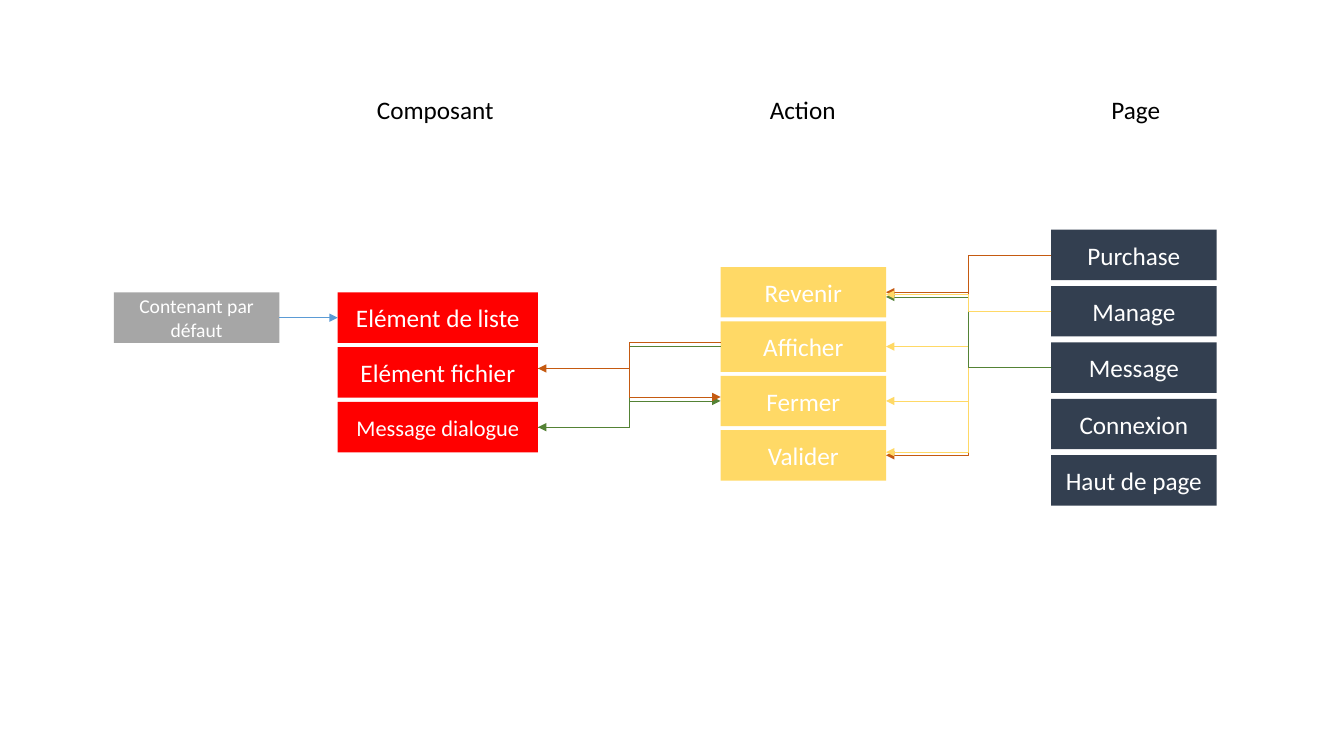
from pptx import Presentation
from pptx.dml.color import RGBColor
from pptx.enum.shapes import MSO_CONNECTOR, MSO_SHAPE
from pptx.enum.text import MSO_ANCHOR, MSO_AUTO_SIZE, PP_ALIGN
from pptx.oxml.ns import qn
from pptx.util import Cm, Pt
from lxml.etree import SubElement

FONT = "Calibri"
BLOCK_HEIGHT = 1.27
ORANGE, YELLOW, GREEN, BLUE = "C55A11", "FFD966", "548235", "5B9BD5"

# Heading, left, width (cm)
HEADINGS = [("Composant", 9.25, 3.48), ("Action", 19.15, 2.18), ("Page", 27.76, 1.75)]

# Left, top, width, step (cm), fill, then (label, text size)
COLUMNS = [
    (2.87, 7.37, 4.17, 0, "A6A6A6", [("Contenant par défaut", 14)]),
    (8.51, 7.37, 5.05, 1.38, "FF0000",
     [("Elément de liste", 18), ("Elément fichier", 18), ("Message dialogue", 16)]),
    (18.16, 6.73, 4.17, 1.37, "FFD966",
     [("Revenir", 18), ("Afficher", 18), ("Fermer", 18), ("Valider", 18)]),
    (26.49, 5.79, 4.17, 1.42, "333F50",
     [("Purchase", 18), ("Manage", 18), ("Message", 18), ("Connexion", 18),
      ("Haut de page", 18)]),
]

# Source, target, colour, shift of each end below the block's middle (cm)
ELBOWS = [
    ("Purchase", "Revenir", ORANGE, 0, 0),
    ("Purchase", "Valider", ORANGE, 0, 0),
    ("Manage", "Fermer", YELLOW, 0, 0),
    ("Manage", "Afficher", YELLOW, 0, 0),
    ("Manage", "Valider", YELLOW, 0, -0.08),
    ("Message", "Revenir", GREEN, 0, 0.12),
    ("Manage", "Revenir", YELLOW, 0, 0.06),
    ("Afficher", "Message dialogue", GREEN, 0, 0),
    ("Message dialogue", "Fermer", GREEN, 0, 0),
    ("Afficher", "Elément fichier", ORANGE, -0.1, -0.1),
    ("Elément fichier", "Fermer", ORANGE, -0.1, -0.1),
]


def color(value):
    return RGBColor.from_string(value)


def write(shape, text, size, ink, align):
    para = shape.text_frame.paragraphs[0]
    para.text = text
    para.alignment = align
    para.font.name = FONT
    para.font.size = Pt(size)
    para.font.color.rgb = color(ink)


def add_heading(page, text, left, width):
    box = page.shapes.add_textbox(Cm(left), Cm(2.26), Cm(width), Cm(1.02))
    box.text_frame.word_wrap = False
    box.text_frame.auto_size = MSO_AUTO_SIZE.SHAPE_TO_FIT_TEXT
    write(box, text, 18, "000000", PP_ALIGN.LEFT)


def add_block(page, label, size, left, top, width, fill):
    block = page.shapes.add_shape(
        MSO_SHAPE.RECTANGLE, Cm(left), Cm(top), Cm(width), Cm(BLOCK_HEIGHT))
    block.shadow.inherit = False
    block.fill.solid()
    block.fill.fore_color.rgb = color(fill)
    block.line.fill.background()
    block.text_frame.word_wrap = True
    block.text_frame.vertical_anchor = MSO_ANCHOR.MIDDLE
    write(block, label, size, "FFFFFF", PP_ALIGN.CENTER)
    return block


def add_arrow(page, kind, source, target, ink, source_shift=0, target_shift=0):
    """Draw an arrow between the facing sides of two blocks."""
    if source.left < target.left:
        begin_x, end_x = source.left + source.width, target.left
    else:
        begin_x, end_x = source.left, target.left + target.width
    begin_y = source.top + source.height // 2 + Cm(source_shift)
    end_y = target.top + target.height // 2 + Cm(target_shift)
    arrow = page.shapes.add_connector(kind, begin_x, begin_y, end_x, end_y)
    arrow.line.color.rgb = color(ink)
    arrow.line.width = Pt(0.5)
    SubElement(arrow.line._get_or_add_ln(), qn("a:tailEnd"), type="triangle")
    SubElement(arrow._element.spPr, qn("a:effectLst"))
    return arrow


def main():
    deck = Presentation()
    deck.slide_width, deck.slide_height = Cm(33.87), Cm(19.05)
    page = deck.slides.add_slide(deck.slide_layouts.get_by_name("Blank"))

    for heading in HEADINGS:
        add_heading(page, *heading)

    blocks = {}
    for left, top, width, step, fill, labels in COLUMNS:
        for row, (label, size) in enumerate(labels):
            blocks[label] = add_block(
                page, label, size, left, top + row * step, width, fill)

    for source, target, ink, source_shift, target_shift in ELBOWS:
        add_arrow(page, MSO_CONNECTOR.ELBOW, blocks[source], blocks[target],
                  ink, source_shift, target_shift)

    container, item = blocks["Contenant par défaut"], blocks["Elément de liste"]
    link = add_arrow(page, MSO_CONNECTOR.STRAIGHT, container, item, BLUE)
    link.begin_connect(container, 3)
    link.end_connect(item, 1)

    deck.save("out.pptx")


if __name__ == "__main__":
    main()
